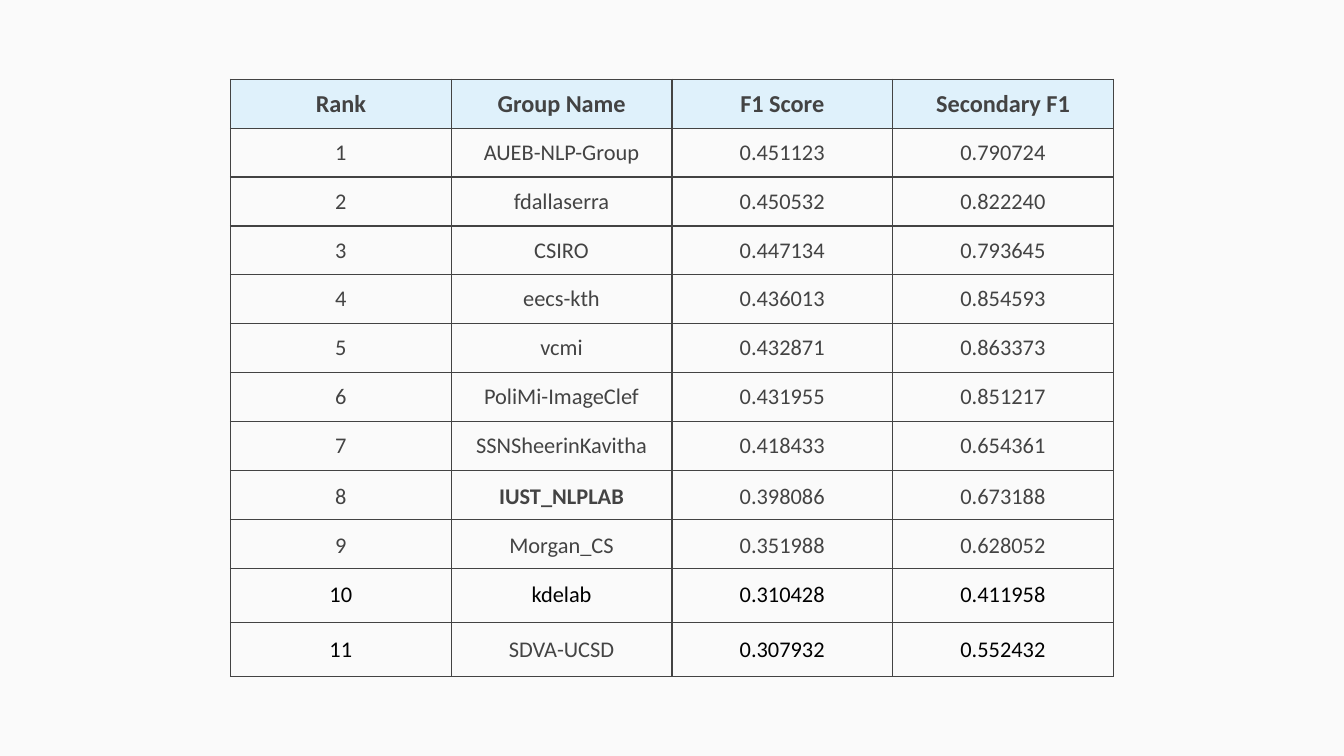
from dataclasses import dataclass

from lxml.etree import SubElement
from pptx import Presentation
from pptx.dml.color import RGBColor
from pptx.enum.text import MSO_ANCHOR, PP_ALIGN
from pptx.oxml.ns import qn
from pptx.util import Inches, Pt


@dataclass(frozen=True)
class Theme:
    font: str = "Calibri"
    back: str = "FAFAFA"
    head: str = "DFF1FB"
    text: str = "434343"
    soft: str = "444444"
    dark: str = "000000"
    line: str = "434343"
    head_size: float = 13
    size: float = 12
    line_size: float = 0.75


THEME = Theme()
WIDE = Inches(10)
HEAD = ("Rank", "Group Name", "F1 Score", "Secondary F1")
TEAMS = (
    ("AUEB-NLP-Group", "0.451123", "0.790724"),
    ("fdallaserra", "0.450532", "0.822240"),
    ("CSIRO", "0.447134", "0.793645"),
    ("eecs-kth", "0.436013", "0.854593"),
    ("vcmi", "0.432871", "0.863373"),
    ("PoliMi-ImageClef", "0.431955", "0.851217"),
    ("SSNSheerinKavitha", "0.418433", "0.654361"),
    ("IUST_NLPLAB", "0.398086", "0.673188"),
    ("Morgan_CS", "0.351988", "0.628052"),
    ("kdelab", "0.310428", "0.411958"),
    ("SDVA-UCSD", "0.307932", "0.552432"),
)
OWN_TEAM = "IUST_NLPLAB"
LAST_TEAM = "SDVA-UCSD"
LOOSE = (8, 9)  # ranks with wider line spacing
TALL_FROM = 10  # ranks from here on have taller rows and black text


def paint(fill, color):
    fill.solid()
    fill.fore_color.rgb = RGBColor.from_string(color)


def add_run(para, text, size, color, bold):
    run = para.add_run()
    run.text = text
    font = run.font
    font.name, font.size, font.bold = THEME.font, Pt(size), bold
    font.color.rgb = RGBColor.from_string(color)


def add_lines(cell):
    props = cell._tc.get_or_add_tcPr()
    for side in ("a:lnL", "a:lnR", "a:lnT", "a:lnB"):
        line = SubElement(props, qn(side), w=str(Pt(THEME.line_size)))
        fill = SubElement(line, qn("a:solidFill"))
        SubElement(fill, qn("a:srgbClr"), val=THEME.line)


def pick_color(rank, col, text):
    if text == LAST_TEAM:
        return THEME.soft
    if rank >= TALL_FROM:
        return THEME.dark
    return THEME.soft if rank == TALL_FROM - 1 and col >= 2 else THEME.text


def fill_cell(cell, rank, col, text):
    is_head = rank == 0
    is_tall = rank >= TALL_FROM
    # Borders come before the fill in the cell's XML
    add_lines(cell)
    if is_head:
        paint(cell.fill, THEME.head)
    else:
        cell.fill.background()

    cell.vertical_anchor = MSO_ANCHOR.TOP if is_tall else MSO_ANCHOR.MIDDLE
    cell.margin_left = cell.margin_right = Inches(0.1 if is_tall else 0.05)
    cell.margin_top = cell.margin_bottom = Inches(0.1 if is_tall else 0)

    para = cell.text_frame.paragraphs[0]
    para.alignment = PP_ALIGN.CENTER
    if rank in LOOSE:
        para.line_spacing = 1.15
    size = THEME.head_size if is_head else THEME.size
    add_run(para, text, size, pick_color(rank, col, text),
            is_head or text == OWN_TEAM)


def add_ranks(slide):
    rows = [HEAD] + [(str(i), *team) for i, team in enumerate(TEAMS, 1)]
    width, short, tall = Inches(6.57), Inches(3.64) // 10, Inches(0.4)
    high = TALL_FROM * short + (len(rows) - TALL_FROM) * tall
    table = slide.shapes.add_table(len(rows), len(HEAD), (WIDE - width) // 2,
                                   Inches(0.59), width, high).table
    table.first_row = table.horz_banding = False
    for col in table.columns:
        col.width = width // len(HEAD)
    for rank, row in enumerate(rows):
        table.rows[rank].height = tall if rank >= TALL_FROM else short
        for col, text in enumerate(row):
            fill_cell(table.cell(rank, col), rank, col, text)


def main():
    # Widescreen, 16 to 9
    deck = Presentation()
    deck.slide_width, deck.slide_height = WIDE, WIDE * 9 // 16

    # Blank slide with a pale background
    slide = deck.slides.add_slide(deck.slide_layouts[6])
    paint(slide.background.fill, THEME.back)

    # Ranking of the groups
    add_ranks(slide)
    deck.save("out.pptx")


if __name__ == "__main__":
    main()
